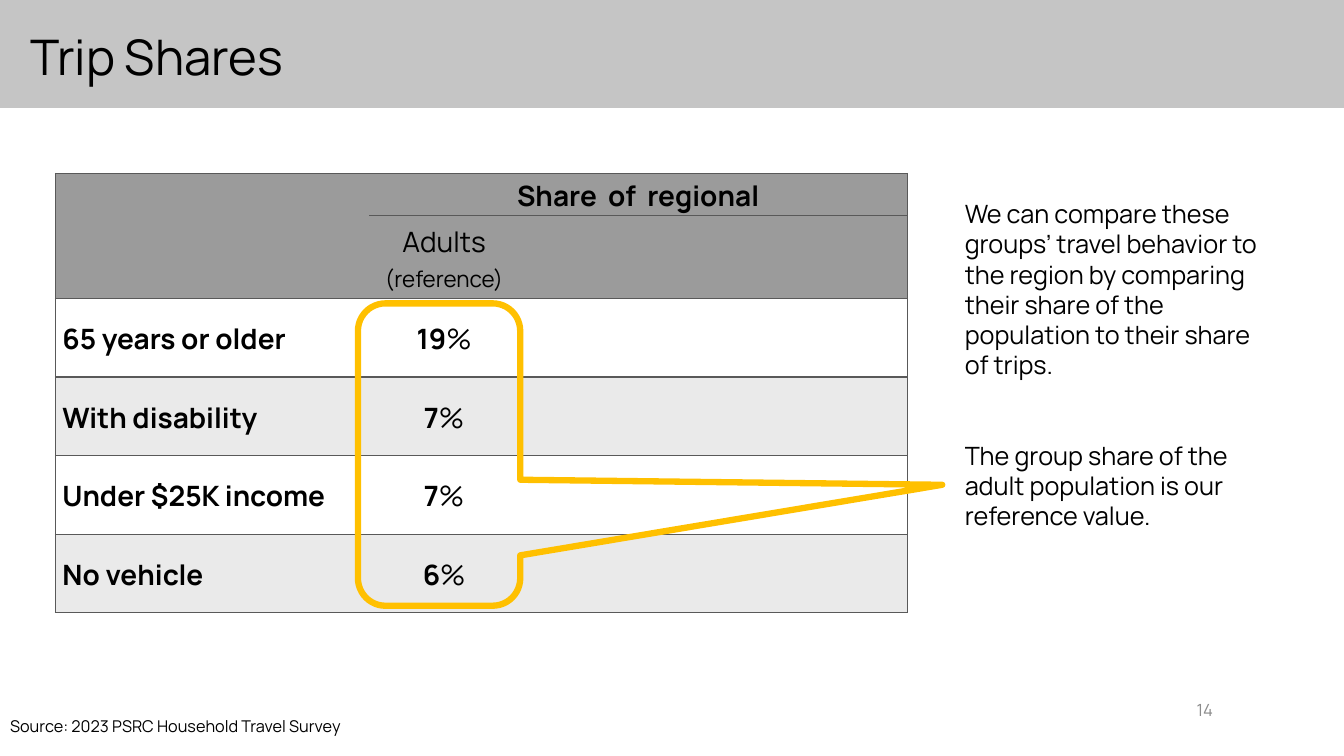
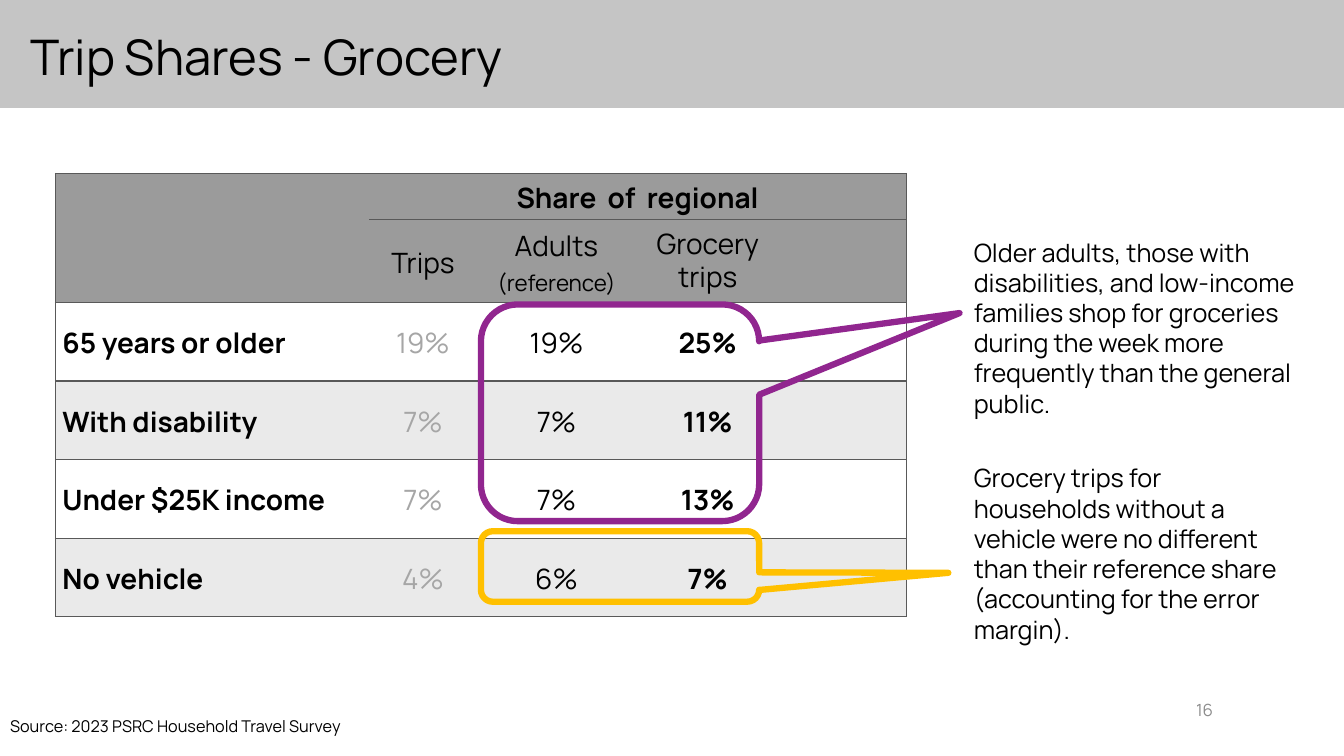
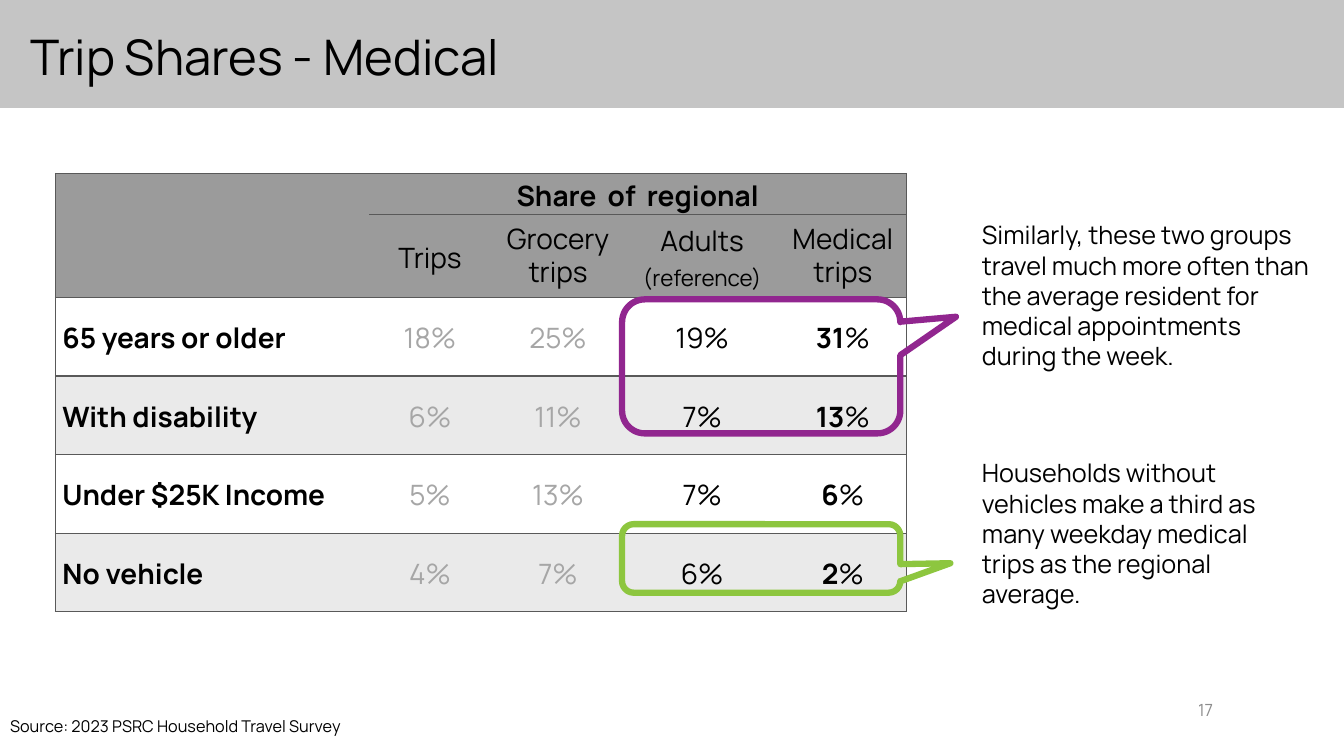
import pptx
import pptx.dml.color
import pptx.enum.shapes
import pptx.enum.text
import pptx.oxml
import pptx.oxml.ns
import pptx.util
from pptx.util import Inches

BLACK, MUTED, PAGE_GRAY = "000000", "A6A6A6", "8C8C8C"
BAND, HEADER, STRIPE, WHITE = "C5C5C5", "9B9B9B", "EAEAEA", "FFFFFF"
RULE, PURPLE, AMBER, GREEN = "595959", "91268F", "FFC000", "8DC63F"
FONT = "Manrope"
NO_GRID_STYLE = "{2D5ABB26-0587-4C30-8999-92F81FD0307C}"
LEFT = pptx.enum.text.PP_ALIGN.LEFT
CENTER = pptx.enum.text.PP_ALIGN.CENTER
RIGHT = pptx.enum.text.PP_ALIGN.RIGHT
MIDDLE = pptx.enum.text.MSO_ANCHOR.MIDDLE
SOURCE = "Source: 2023 PSRC Household Travel Survey"
LABEL_WIDTH = 3.11
ROW_HEIGHT = 0.78
GROUPS = ["65 years or older", "With disability", "Under $25K income", "No vehicle"]
ADULTS = [19, 7, 7, 6]
GROCERY = [25, 11, 13, 7]


def color(hex_string):
    return pptx.dml.color.RGBColor.from_string(hex_string)


def write(paragraph, text, size=18, ink=BLACK, bold=False, align=LEFT,
          spacing=1.0, before=0):
    """Add one formatted run to a paragraph."""
    paragraph.alignment = align
    paragraph.line_spacing = spacing
    paragraph.space_before = pptx.util.Pt(before)
    run = paragraph.add_run()
    run.text = text
    run.font.name = FONT
    run.font.size = pptx.util.Pt(size)
    run.font.bold = bold
    run.font.color.rgb = color(ink)


class Deck:
    """Shared style, and the slide being built."""

    def __init__(self):
        self.presentation = pptx.Presentation()
        self.presentation.slide_width = Inches(13.33)
        self.presentation.slide_height = Inches(7.5)
        self.layout = self.presentation.slide_layouts[1]
        self.slide = None

    def place(self, shape, left, top, width, height):
        shape.left, shape.top = Inches(left), Inches(top)
        shape.width, shape.height = Inches(width), Inches(height)

    def add_slide(self, title, number):
        self.slide = self.presentation.slides.add_slide(self.layout)
        self.add_band()
        # Title
        heading = self.slide.shapes.title
        self.place(heading, 0.2, 0.26, 11.5, 0.67)
        frame = heading.text_frame
        frame.auto_size = pptx.enum.text.MSO_AUTO_SIZE.NONE
        frame.vertical_anchor = MIDDLE
        write(frame.paragraphs[0], title, size=35, spacing=0.9)
        # Source line
        source = self.slide.placeholders[1]
        self.place(source, 0, 7.11, 3.97, 0.35)
        source.text_frame.auto_size = pptx.enum.text.MSO_AUTO_SIZE.NONE
        paragraph = source.text_frame.paragraphs[0]
        properties = paragraph._p.get_or_add_pPr()
        properties.set("marL", "0")
        properties.set("indent", "0")
        properties.append(pptx.oxml.parse_xml(
            f"<a:buNone {pptx.oxml.ns.nsdecls('a')}/>"))
        write(paragraph, SOURCE, size=11.6, spacing=0.7)
        # Page number
        self.add_note([str(number)], 11.55, 6.84, 0.58, 0.4, anchor=MIDDLE,
                      size=12, ink=PAGE_GRAY, align=RIGHT)

    def add_band(self):
        band = self.slide.shapes.add_shape(
            pptx.enum.shapes.MSO_SHAPE.RECTANGLE, 0, 0,
            self.presentation.slide_width, Inches(1.07))
        band.shadow.inherit = False
        band.fill.solid()
        band.fill.fore_color.rgb = color(BAND)
        band.line.fill.background()
        # Send behind the title
        self.slide.shapes._spTree.insert(2, band._element)

    def add_note(self, texts, left, top, width, height, anchor=None, gap=0, **style):
        box = self.slide.shapes.add_textbox(
            Inches(left), Inches(top), Inches(width), Inches(height))
        frame = box.text_frame
        frame.word_wrap = True
        if anchor is not None:
            frame.vertical_anchor = anchor
        for index, text in enumerate(texts):
            paragraph = frame.add_paragraph() if index else frame.paragraphs[0]
            write(paragraph, text, before=gap if index else 0, **style)

    def add_callout(self, left, top, width, height, tip, ink):
        callout = self.slide.shapes.add_shape(
            pptx.enum.shapes.MSO_SHAPE.ROUNDED_RECTANGULAR_CALLOUT,
            Inches(left), Inches(top), Inches(width), Inches(height))
        callout.shadow.inherit = False
        callout.fill.background()
        callout.line.color.rgb = color(ink)
        callout.line.width = pptx.util.Pt(4.5)
        for index, value in enumerate((*tip, 0.17)):
            callout.adjustments[index] = value

    def style_cell(self, cell, fill, edges):
        cell.margin_left = cell.margin_right = Inches(0.07)
        cell.margin_top = cell.margin_bottom = 0
        cell.vertical_anchor = MIDDLE
        properties = cell._tc.get_or_add_tcPr()
        for edge in edges:
            properties.append(pptx.oxml.parse_xml(
                f"<a:ln{edge} {pptx.oxml.ns.nsdecls('a')} w='12700'><a:solidFill>"
                f"<a:srgbClr val='{RULE}'/></a:solidFill></a:ln{edge}>"))
        cell.fill.solid()
        cell.fill.fore_color.rgb = color(fill)

    def add_share_table(self, groups, columns, header_heights):
        """Columns are (width, heading lines, values, ink, bold digits, bold sign)."""
        heights = [*header_heights] + [ROW_HEIGHT] * len(groups)
        widths = [LABEL_WIDTH] + [column[0] for column in columns]
        table_frame = self.slide.shapes.add_table(
            len(heights), len(widths), Inches(0.55), Inches(1.72),
            Inches(sum(widths)), Inches(sum(heights)))
        table = table_frame.table
        table.first_row = table.horz_banding = False
        style_id = table._tbl.tblPr.find(pptx.oxml.ns.qn("a:tableStyleId"))
        style_id.text = NO_GRID_STYLE
        for column, width in zip(table.columns, widths):
            column.width = Inches(width)
        for row, height in zip(table.rows, heights):
            row.height = Inches(height)

        # Fills and rules; the merged heading carries the right edge of its row
        last = len(widths) - 1
        for row in range(len(heights)):
            fill = HEADER if row < 2 else (STRIPE if row % 2 else WHITE)
            for column in range(len(widths)):
                at_right = column == last or (row, column) == (0, 1)
                edges = ("L" if column == 0 else "") + ("R" if at_right else "")
                edges += "B" if (row, column) == (1, 0) else "TB"
                self.style_cell(table.cell(row, column), fill, edges)
        table.cell(0, 0).merge(table.cell(1, 0))
        table.cell(0, 1).merge(table.cell(0, last))

        # Headings and group labels
        style = {"size": 20, "spacing": 1.07}
        centered = {**style, "align": CENTER}
        write(table.cell(0, 1).text_frame.paragraphs[0], "Share  of  regional",
              bold=True, **centered)
        for row, group in enumerate(groups, start=2):
            write(table.cell(row, 0).text_frame.paragraphs[0], group, bold=True, **style)

        # Column headings and values; headings that wrap are set tighter
        for index, column in enumerate(columns, start=1):
            _, heading, values, ink, bold_digits, bold_sign = column
            frame = table.cell(1, index).text_frame
            spacing = 0.85 if len(heading) == 1 and " " in heading[0] else 1.07
            for line, text in enumerate(heading):
                paragraph = frame.add_paragraph() if line else frame.paragraphs[0]
                write(paragraph, text, size=16 if line else 20, align=CENTER,
                      spacing=spacing)
            for row, value in enumerate(values, start=2):
                paragraph = table.cell(row, index).text_frame.paragraphs[0]
                if bold_digits == bold_sign:
                    write(paragraph, f"{value}%", ink=ink, bold=bold_sign, **centered)
                else:
                    write(paragraph, str(value), ink=ink, bold=bold_digits, **centered)
                    write(paragraph, "%", ink=ink, bold=bold_sign, **centered)


def main():
    deck = Deck()
    reference = ["Adults", "(reference)"]

    def blank(width):
        return (width, [], [], BLACK, False, False)

    # Reference shares
    deck.add_slide("Trip Shares", 14)
    deck.add_share_table(GROUPS, [
        (1.49, reference, ADULTS, BLACK, True, False),
        blank(1.17), blank(1.42), blank(1.26)], (0.42, 0.82))
    deck.add_note([
        "We can compare these groups’ travel behavior to the region by comparing "
        "their share of the population to their share of trips.",
        "The group share of the adult population is our reference value."],
        9.47, 1.92, 3.31, 3.43, gap=43)
    deck.add_callout(3.55, 3.01, 1.61, 3, (3.1, 0.1), AMBER)

    # Grocery trips
    deck.add_slide("Trip Shares - Grocery", 16)
    deck.add_share_table(GROUPS, [
        (1.07, ["Trips"], [19, 7, 7, 4], MUTED, False, False),
        (1.58, reference, ADULTS, BLACK, False, False),
        (1.42, ["Grocery trips"], GROCERY, BLACK, True, True),
        blank(1.26)], (0.46, 0.82))
    deck.add_callout(4.77, 3.02, 2.76, 2.15, (1.22, -0.46), PURPLE)
    deck.add_callout(4.77, 5.27, 2.76, 0.7, (1.18, 0.09), AMBER)
    deck.add_note([
        "Older adults, those with disabilities, and low-income families shop for "
        "groceries during the week more frequently than the general public."],
        9.56, 2.3, 3.53, 1.92)
    deck.add_note([
        "Grocery trips for households without a vehicle were no different than "
        "their reference share (accounting for the error margin)."],
        9.56, 4.54, 3.35, 1.92)

    # Medical trips
    deck.add_slide("Trip Shares - Medical", 17)
    medical_groups = [group.replace("income", "Income") for group in GROUPS]
    deck.add_share_table(medical_groups, [
        (1.21, ["Trips"], [18, 6, 5, 4], MUTED, False, False),
        (1.33, ["Grocery trips"], GROCERY, MUTED, False, False),
        (1.53, reference, ADULTS, BLACK, False, False),
        (1.26, ["Medical trips"], [31, 13, 6, 2], BLACK, True, False)], (0.41, 0.82))
    deck.add_callout(6.17, 2.97, 2.76, 1.33, (0.7, -0.37), PURPLE)
    deck.add_callout(6.17, 5.2, 2.76, 0.68, (0.68, 0.07), GREEN)
    deck.add_note([
        "Similarly, these two groups travel much more often than the average "
        "resident for medical appointments during the week."],
        9.64, 2.13, 3.53, 1.62)
    deck.add_note([
        "Households without vehicles make a third as many weekday medical trips "
        "as the regional average."],
        9.64, 4.49, 3.35, 1.62)

    deck.presentation.save("out.pptx")


if __name__ == "__main__":
    main()
